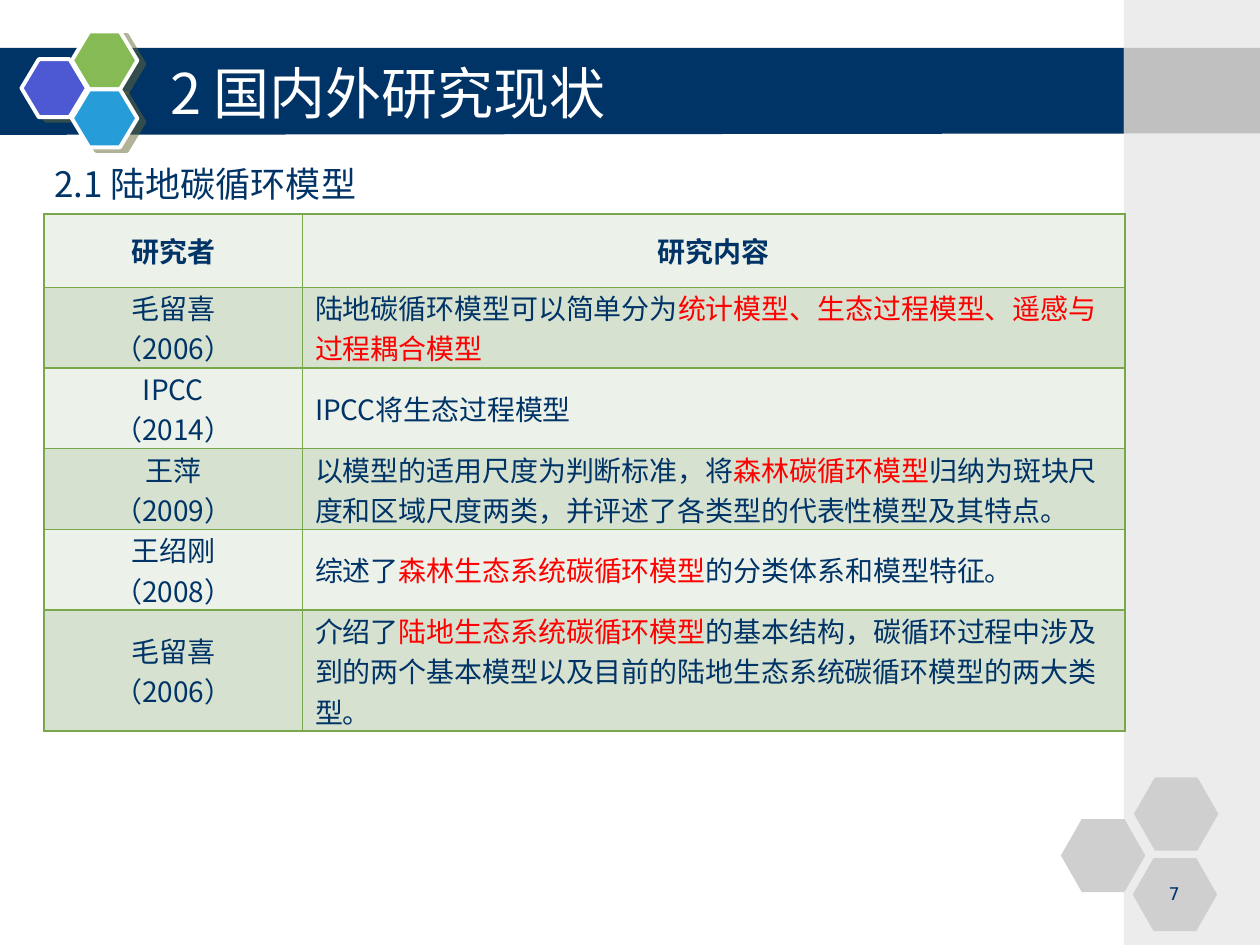
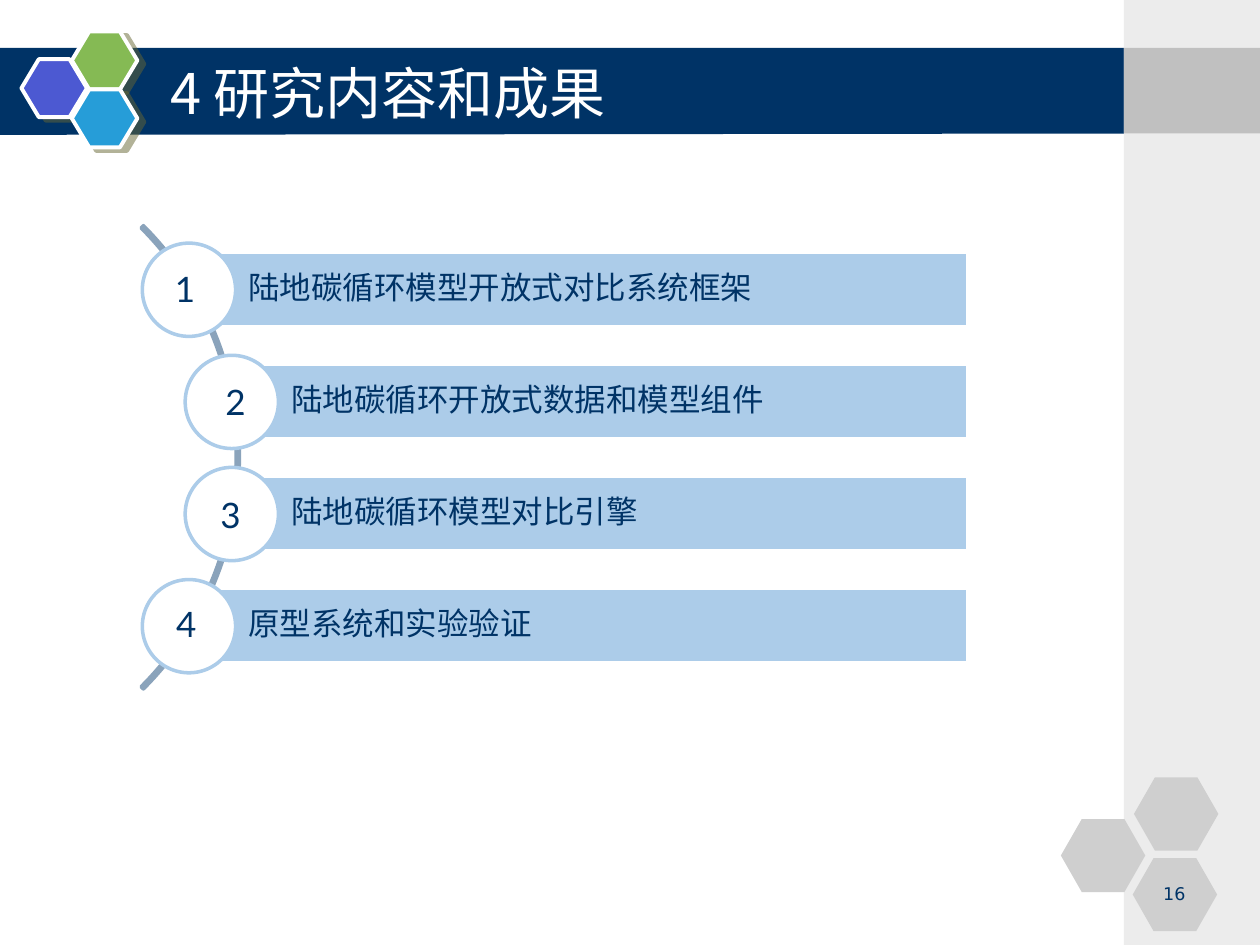
import dataclasses

import lxml.etree
import pptx
import pptx.dml.color
import pptx.enum.shapes
import pptx.enum.text
import pptx.oxml.ns
import pptx.util

SHAPE = pptx.enum.shapes.MSO_SHAPE
ALIGN = pptx.enum.text.PP_ALIGN
ANCHOR = pptx.enum.text.MSO_ANCHOR
TITLE_AND_BODY, TITLE_ONLY = 1, 5


@dataclasses.dataclass(frozen=True)
class Theme:
    navy: str = "003366"
    white: str = "FFFFFF"
    red: str = "FF0000"
    side_panel: str = "ECECEC"
    band_end: str = "C0C0C0"
    pale_hexagon: str = "CFCFCF"
    emblem: tuple = ("4C59D2", "85BA54", "269DD8")
    emblem_shadow: str = "666633"
    row_fills: tuple = ("ECF1E9", "D6E1D0")
    table_line: str = "78A84B"
    item_blue: str = "ACCCE9"
    arc: str = "8AA3BB"
    chinese: str = "Noto Sans CJK SC"
    plain: str = "DejaVu Sans"
    digits: str = "Lato"
    title_size: int = 32
    heading_size: int = 20
    item_size: int = 18
    cell_size: int = 16
    page_size: int = 10


def rgb(code):
    return pptx.dml.color.RGBColor.from_string(code)


def add_xml(parent, tag, **attributes):
    return lxml.etree.SubElement(parent, pptx.oxml.ns.qn(tag), attributes)


class Deck:
    COLUMNS, ROWS = 100, 75

    def __init__(self, theme):
        self.theme = theme
        self.presentation = pptx.Presentation()
        self.presentation.slide_width = pptx.util.Inches(10)
        self.presentation.slide_height = pptx.util.Inches(7.5)
        self.slide = None

    def x(self, columns):
        return round(self.presentation.slide_width * columns / self.COLUMNS)

    def y(self, rows):
        return round(self.presentation.slide_height * rows / self.ROWS)

    def box(self, left, top, width, height):
        return self.x(left), self.y(top), self.x(width), self.y(height)

    def start_slide(self, layout, title, page):
        first = self.slide is None
        self.slide = self.presentation.slides.add_slide(
            self.presentation.slide_layouts[layout])
        if first:
            self.decorate_master()
        self.placeholder(self.slide.shapes.title, (12.5, 4.2, 74.2, 6.2), title,
                         self.theme.title_size, self.theme.white, ANCHOR.MIDDLE)
        page_box = self.shape(SHAPE.RECTANGLE, (90.7, 69.7, 5, 2.5), self.theme.pale_hexagon)
        self.fill_text(page_box.text_frame, page, self.theme.page_size, self.theme.plain,
                       align=ALIGN.CENTER)

    def decorate_master(self):
        theme = self.theme
        parts = [self.outline([(-0.3, 3.8), (89.4, 3.8), (89.3, 10.6), (-0.3, 10.7)], theme.navy)]
        for (left, top), color in zip([(1.7, 4.7), (5.7, 2.5), (5.7, 7.1)], theme.emblem):
            hexagon = self.shape(SHAPE.HEXAGON, (left, top, 5.2, 4.6), color,
                                 theme.white, 2.25, (0.3, 1.155))
            self.cast_shadow(hexagon)
            parts.append(hexagon)
        parts.append(self.shape(SHAPE.RECTANGLE, (89.2, 0, 10.8, 75), theme.side_panel))
        parts.append(self.shape(SHAPE.RECTANGLE, (89.2, 3.8, 10.8, 6.8), theme.band_end))
        for left, top in [(84.2, 65), (90, 61.7), (89.9, 68.1)]:
            parts.append(self.shape(SHAPE.HEXAGON, (left, top, 6.7, 5.8), theme.pale_hexagon,
                                    adjustments=(0.286, 1.155)))
        master_tree = self.presentation.slide_master.shapes.element
        for number, part in enumerate(parts):
            part.element.nvSpPr.cNvPr.set("id", str(100 + number))
            master_tree.insert(2 + number, part.element)

    def paint(self, shape, fill, line, weight):
        shape.shadow.inherit = False
        if fill:
            shape.fill.solid()
            shape.fill.fore_color.rgb = rgb(fill)
        else:
            shape.fill.background()
        if line:
            shape.line.color.rgb = rgb(line)
            shape.line.width = pptx.util.Pt(weight)
        else:
            shape.line.fill.background()
        return shape

    def shape(self, preset, place, fill=None, line=None, weight=2, adjustments=()):
        shape = self.slide.shapes.add_shape(preset, *self.box(*place))
        for index, value in enumerate(adjustments):
            shape.adjustments[index] = value
        return self.paint(shape, fill, line, weight)

    def outline(self, corners, fill):
        points = [(self.x(left), self.y(top)) for left, top in corners]
        builder = self.slide.shapes.build_freeform(*points[0])
        builder.add_line_segments(points[1:], close=True)
        return self.paint(builder.convert_to_shape(), fill, None, 0)

    def cast_shadow(self, shape):
        effects = shape.element.spPr.find(pptx.oxml.ns.qn("a:effectLst"))
        shadow = add_xml(effects, "a:outerShdw", blurRad="0", dist=str(pptx.util.Pt(4.5)),
                         dir=str(27 * 60000), algn="ctr", rotWithShape="0")
        color = add_xml(shadow, "a:srgbClr", val=self.theme.emblem_shadow)
        add_xml(color, "a:alpha", val="50000")

    def fill_text(self, frame, text, size, font, color=None, bold=False, align=ALIGN.LEFT):
        frame.text = text.replace("|", "")
        for paragraph, line in zip(frame.paragraphs, text.split("\n")):
            paragraph.alignment = align
            pieces = line.split("|")
            paragraph.text = pieces[0]
            for piece in pieces[1:]:
                paragraph.add_run().text = piece
            for index, run in enumerate(paragraph.runs):
                run.font.size = pptx.util.Pt(size)
                run.font.bold = bold
                run.font.name = font
                run.font.color.rgb = rgb(
                    self.theme.red if index % 2 else color or self.theme.navy)
                add_xml(run.font._element, "a:ea", typeface=self.theme.chinese)

    def placeholder(self, holder, place, text, size, color, anchor):
        holder.left, holder.top, holder.width, holder.height = self.box(*place)
        frame = holder.text_frame
        frame.auto_size = pptx.enum.text.MSO_AUTO_SIZE.NONE
        frame.vertical_anchor = anchor
        self.fill_text(frame, text, size, self.theme.chinese, color)
        return frame.paragraphs[0]

    def heading(self, text):
        paragraph = self.placeholder(self.slide.placeholders[1], (3.3, 11.7, 75, 6.1), text,
                                     self.theme.heading_size, self.theme.navy, ANCHOR.TOP)
        paragraph.line_spacing = 1.2
        paragraph.space_before = pptx.util.Pt(0)
        properties = paragraph._p.get_or_add_pPr()
        properties.set("marL", "0")
        properties.set("indent", "0")
        add_xml(properties, "a:buNone")

    def label(self, place, text, size, font):
        frame = self.slide.shapes.add_textbox(*self.box(*place)).text_frame
        frame.word_wrap = True
        self.fill_text(frame, text, size, font)

    def bar(self, place, text):
        frame = self.shape(SHAPE.RECTANGLE, place, self.theme.item_blue,
                           self.theme.white).text_frame
        frame.margin_left = self.x(4.7)
        frame.margin_right = self.x(0.5)
        frame.vertical_anchor = ANCHOR.MIDDLE
        self.fill_text(frame, text, self.theme.item_size, self.theme.plain)
        frame.paragraphs[0].line_spacing = 0.9

    def table(self, left, top, widths, heights, records):
        table = self.slide.shapes.add_table(
            len(records), len(widths),
            *self.box(left, top, sum(widths), sum(heights))).table
        table.first_row = table.horz_banding = False
        for column, width in zip(table.columns, widths):
            column.width = self.x(width)
        for row, height in zip(table.rows, heights):
            row.height = self.y(height)
        for r, record in enumerate(records):
            for c, text in enumerate(record):
                header = r == 0
                self.cell(table.cell(r, c), text, self.theme.row_fills[r % 2], header,
                          ALIGN.CENTER if header or c == 0 else ALIGN.LEFT)

    def cell(self, cell, text, fill, bold, align):
        cell.margin_top = cell.margin_bottom = 0
        cell.vertical_anchor = ANCHOR.MIDDLE
        self.fill_text(cell.text_frame, text, self.theme.cell_size, self.theme.chinese,
                       bold=bold, align=align)
        properties = cell._tc.get_or_add_tcPr()
        for side in ("a:lnL", "a:lnR", "a:lnT", "a:lnB"):
            edge = add_xml(properties, side, w=str(pptx.util.Pt(1)))
            add_xml(add_xml(edge, "a:solidFill"), "a:srgbClr", val=self.theme.table_line)
        cell.fill.solid()
        cell.fill.fore_color.rgb = rgb(fill)


def research_status(deck):
    deck.start_slide(TITLE_AND_BODY, "2 国内外研究现状", "7")
    deck.heading("2.1 陆地碳循环模型")
    studies = [
        ("研究者", "研究内容"),
        ("毛留喜\n（2006）",
         "陆地碳循环模型可以简单分为|统计模型、生态过程模型、遥感与过程耦合模型"),
        ("IPCC\n（2014）", "IPCC将生态过程模型"),
        ("王萍\n（2009）",
         "以模型的适用尺度为判断标准，将|森林碳循环模型|归纳为斑块尺度和区域尺度两类，"
         "并评述了各类型的代表性模型及其特点。"),
        ("王绍刚\n（2008）", "综述了|森林生态系统碳循环模型|的分类体系和模型特征。"),
        ("毛留喜\n（2006）",
         "介绍了|陆地生态系统碳循环模型|的基本结构，碳循环过程中涉及到的两个基本模型"
         "以及目前的陆地生态系统碳循环模型的两大类型。"),
    ]
    heights = [5.8] + [5.5] * (len(studies) - 1)
    deck.table(3.5, 17, (20.5, 65.3), heights, studies)


def research_results(deck):
    theme = deck.theme
    deck.start_slide(TITLE_ONLY, "4 研究内容和成果", "16")
    deck.shape(SHAPE.BLOCK_ARC, (-33, 10.3, 52, 52), None, theme.arc,
               adjustments=(189, 27, 0.005))
    results = [
        ("陆地碳循环模型开放式对比系统框架", 15, (12.9, 20.7)),
        ("陆地碳循环开放式数据和模型组件", 18.4, (16.9, 29.7)),
        ("陆地碳循环模型对比引擎", 18.4, (16.5, 38.7)),
        ("原型系统和实验验证", 15, (13, 47.3)),
    ]
    right, first_top, step = 76.8, 20, 8.9
    for index, (result, left, number_corner) in enumerate(results):
        top = first_top + step * index
        deck.bar((left, top, right - left, 5.9), result)
        deck.shape(SHAPE.OVAL, (left - 3.7, top - 0.7, 7.4, 7.4), theme.white, theme.item_blue)
        deck.label((*number_corner, 4.7, 4.4), str(index + 1), theme.heading_size, theme.digits)


def main():
    deck = Deck(Theme())
    research_status(deck)
    research_results(deck)
    deck.presentation.save("out.pptx")


if __name__ == "__main__":
    main()
